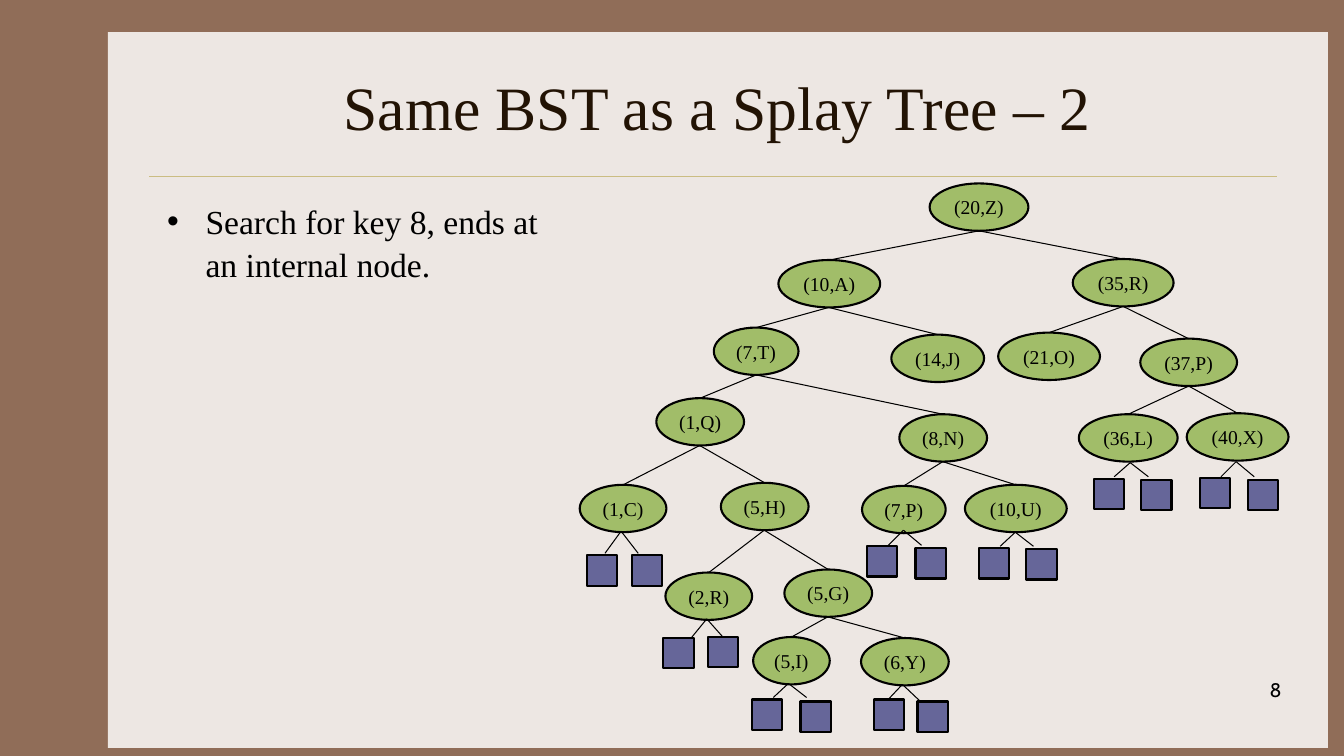
"""Build the splay tree slide: a binary search tree with external leaf boxes."""
from lxml.etree import SubElement
from pptx import Presentation
from pptx.dml.color import RGBColor
from pptx.enum.shapes import MSO_CONNECTOR, MSO_SHAPE
from pptx.enum.text import MSO_ANCHOR, PP_ALIGN
from pptx.oxml.ns import qn
from pptx.util import Pt

PX = 9144
SERIF = "Times New Roman"
BACKGROUND = RGBColor(0x90, 0x6D, 0x58)
PANEL = RGBColor(0xED, 0xE7, 0xE3)
RULE = RGBColor(0xCB, 0xBD, 0x83)
TITLE = RGBColor(0x22, 0x13, 0x04)
BLACK = RGBColor(0, 0, 0)
NODE = RGBColor(0xA1, 0xBD, 0x69)
LEAF = RGBColor(0x66, 0x66, 0x99)

NODE_HEIGHT = 47
LEAF_SIZE = 30

# label: left, top, width
NODES = {
    "(20,Z)": (922, 182, 98),
    "(10,A)": (772, 258, 101),
    "(35,R)": (1064, 257, 100),
    "(7,T)": (708, 325, 84),
    "(14,J)": (884, 332, 92),
    "(21,O)": (990, 330, 101),
    "(37,P)": (1131, 336, 96),
    "(1,Q)": (651, 395, 87),
    "(8,N)": (892, 411, 87),
    "(36,L)": (1070, 411, 98),
    "(40,X)": (1177, 410, 101),
    "(1,C)": (575, 481, 86),
    "(5,H)": (715, 479, 87),
    "(7,P)": (855, 482, 83),
    "(10,U)": (957, 481, 101),
    "(2,R)": (660, 568, 86),
    "(5,G)": (778, 565, 87),
    "(5,I)": (747, 632, 76),
    "(6,Y)": (854, 633, 87),
}

CHILDREN = {
    "(20,Z)": ("(10,A)", "(35,R)"),
    "(10,A)": ("(7,T)", "(14,J)"),
    "(35,R)": ("(21,O)", "(37,P)"),
    "(7,T)": ("(1,Q)", "(8,N)"),
    "(37,P)": ("(36,L)", "(40,X)"),
    "(1,Q)": ("(1,C)", "(5,H)"),
    "(8,N)": ("(7,P)", "(10,U)"),
    "(5,H)": ("(2,R)", "(5,G)"),
    "(5,G)": ("(5,I)", "(6,Y)"),
}

# fork point, then for each side: branch end and leaf corner
LEAF_PAIRS = [
    ((616, 527), ((600, 549), (582, 551)), ((633, 549), (627, 551))),
    ((701, 614), ((683, 636), (658, 633)), ((717, 632), (702, 632))),
    ((782, 678), ((767, 692), (746, 694)), ((800, 692), (794, 696))),
    ((895, 679), ((879, 696), (867, 694)), ((913, 696), (910, 696))),
    ((1226, 458), ((1211, 473), (1190, 474)), ((1244, 473), (1238, 476))),
    ((1121, 459), ((1105, 473), (1085, 475)), ((1139, 473), (1132, 476))),
    ((1007, 528), ((992, 542), (971, 544)), ((1025, 542), (1018, 545))),
    ((896, 526), ((881, 541), (860, 542)), ((914, 541), (908, 544))),
]


def add_block(slide, kind, box, fill, outlined=True):
    shape = slide.shapes.add_shape(kind, *(value * PX for value in box))
    shape.shadow.inherit = False
    shape.fill.solid()
    shape.fill.fore_color.rgb = fill
    if outlined:
        shape.line.color.rgb = BLACK
        shape.line.width = Pt(1.5)
    else:
        shape.line.fill.background()
    return shape


def add_line(slide, start, end, color=BLACK, width=0.75):
    points = (value * PX for value in (*start, *end))
    line = slide.shapes.add_connector(MSO_CONNECTOR.STRAIGHT, *points)
    line.line.color.rgb = color
    line.line.width = Pt(width)
    SubElement(line._element.spPr, qn("a:effectLst"))
    return line


def write(paragraph, text, size, color=BLACK, font=SERIF, align=None):
    paragraph.alignment = align
    run = paragraph.add_run()
    run.text = text
    run.font.name = font
    run.font.size = Pt(size)
    run.font.color.rgb = color


def add_text_box(slide, box, anchor=MSO_ANCHOR.TOP):
    frame = slide.shapes.add_textbox(*(value * PX for value in box)).text_frame
    frame.word_wrap = True
    frame.vertical_anchor = anchor
    return frame.paragraphs[0]


def add_frame_and_text(slide):
    slide.background.fill.solid()
    slide.background.fill.fore_color.rgb = BACKGROUND
    add_block(slide, MSO_SHAPE.RECTANGLE, (107, 32, 1210, 710), PANEL, outlined=False)
    add_line(slide, (148, 175), (1267, 175), RULE, 0.25)

    title = add_text_box(slide, (156, 42, 1111, 125), MSO_ANCHOR.MIDDLE)
    write(title, "Same BST as a Splay Tree – 2", 44, TITLE, align=PP_ALIGN.CENTER)

    body = add_text_box(slide, (156, 192, 391, 450))
    properties = body._p.get_or_add_pPr()
    properties.set("marL", str(38 * PX))
    properties.set("indent", str(-38 * PX))
    SubElement(properties, qn("a:buFont"), typeface="Arial")
    SubElement(properties, qn("a:buChar"), char="•")
    body.line_spacing = 1.06
    write(body, "Search for key 8, ends at an internal node.", 24)

    number = add_text_box(slide, (1003, 668, 278, 50))
    write(number, "8", 14, font="Cabin", align=PP_ALIGN.RIGHT)


def add_tree(slide):
    ovals = {}
    for label, (left, top, width) in NODES.items():
        oval = add_block(slide, MSO_SHAPE.OVAL, (left, top, width, NODE_HEIGHT), NODE)
        oval.text_frame.word_wrap = False
        oval.text_frame.vertical_anchor = MSO_ANCHOR.MIDDLE
        write(oval.text_frame.paragraphs[0], label, 14, align=PP_ALIGN.CENTER)
        ovals[label] = oval

    for parent, children in CHILDREN.items():
        left, top, width = NODES[parent]
        bottom = (left + width // 2, top + NODE_HEIGHT)
        for child in children:
            branch = add_line(slide, bottom, NODES[child][:2])
            branch.end_connect(ovals[child], 0)

    for fork, *sides in LEAF_PAIRS:
        for branch_end, corner in sides:
            add_line(slide, fork, branch_end)
            add_block(slide, MSO_SHAPE.RECTANGLE, (*corner, LEAF_SIZE, LEAF_SIZE), LEAF)


def main():
    presentation = Presentation()
    presentation.slide_width = 1333 * PX
    presentation.slide_height = 750 * PX
    slide = presentation.slides.add_slide(presentation.slide_layouts[6])
    add_frame_and_text(slide)
    add_tree(slide)
    presentation.save("out.pptx")


if __name__ == "__main__":
    main()
